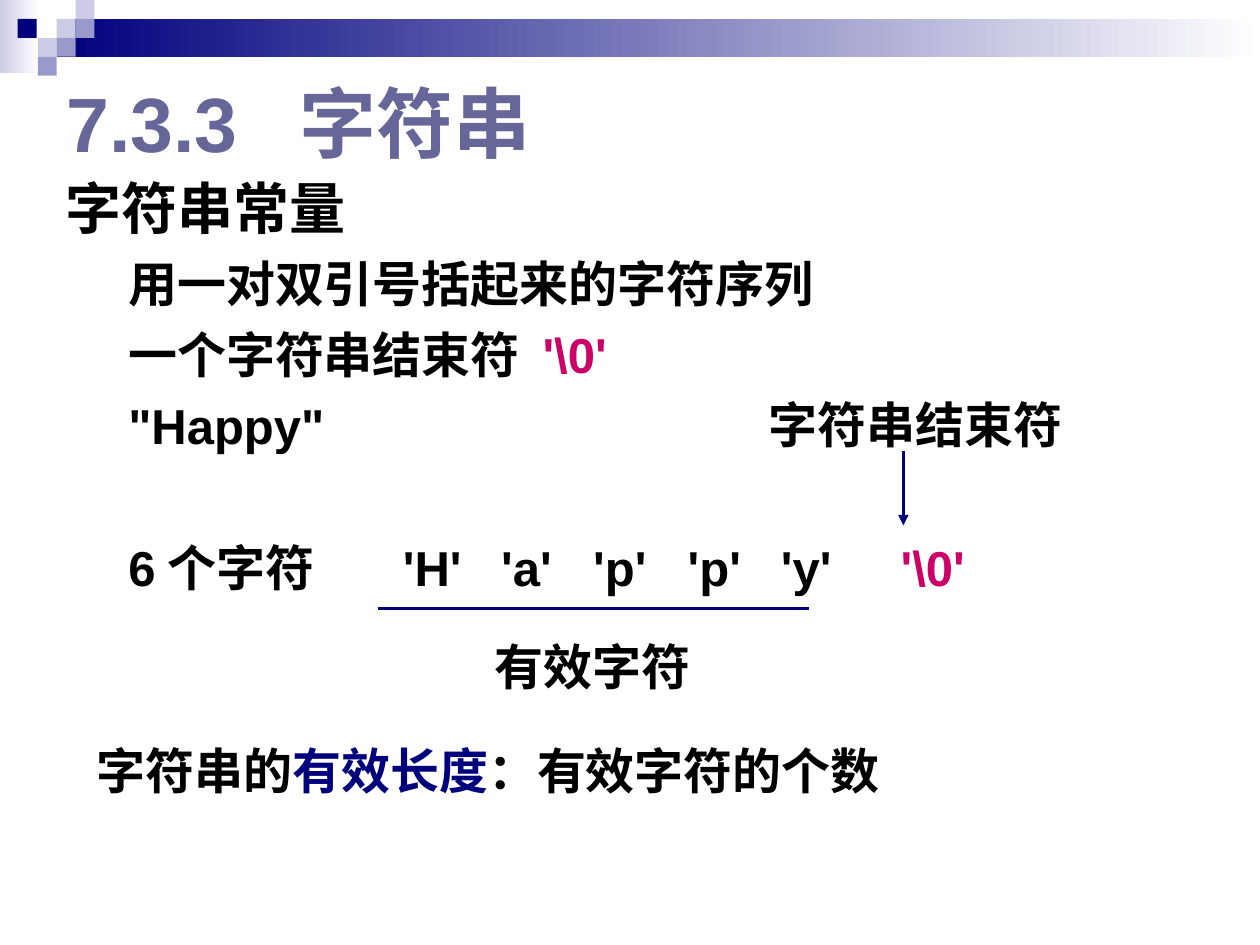
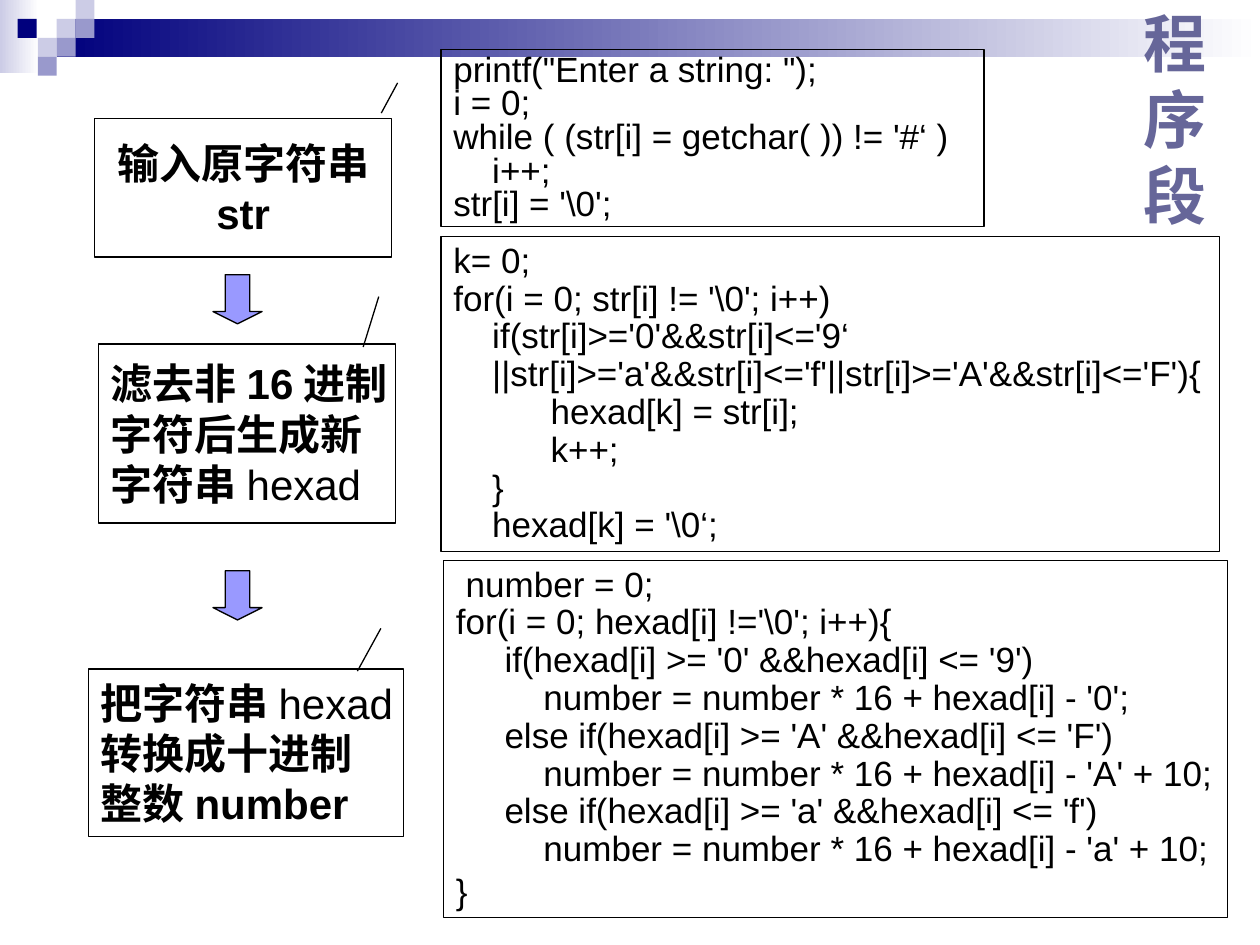
from lxml.etree import SubElement
from pptx import Presentation
from pptx.dml.color import RGBColor
from pptx.enum.shapes import MSO_CONNECTOR, MSO_SHAPE
from pptx.enum.text import MSO_ANCHOR, PP_ALIGN
from pptx.oxml.ns import qn
from pptx.util import Inches, Pt

NAVY = RGBColor(0x00, 0x00, 0x7D)
PALE = RGBColor(0xCC, 0xCC, 0xE6)
LILAC = RGBColor(0x99, 0x99, 0xCC)
ARROW = RGBColor(0x99, 0x99, 0xFF)
SLATE = RGBColor(0x66, 0x66, 0x99)
PINK = RGBColor(0xCC, 0x00, 0x66)
BLACK = RGBColor(0x00, 0x00, 0x00)
WHITE = RGBColor(0xFF, 0xFF, 0xFF)

# Shared band: fades (box, first colour), then small squares (left, top, colour)
FADES = [((0, 0, 0.31, 0.58), PALE), ((0.45, 0.15, 9.55, 0.3), NAVY)]
SIDE = 0.15
TILES = [
    (0.45, 0.15, PALE), (0.6, 0, PALE), (0.6, 0.15, LILAC), (0.3, 0.3, PALE),
    (0.14, 0.15, NAVY), (0.45, 0.3, LILAC), (0.3, 0.45, LILAC),
]

# Slide 1: a line is a string or a list of (text, format) runs
END = ("'\\0'", {"color": PINK})
HEAD = "字符串常量"
POINTS = [
    "用一对双引号括起来的字符序列",
    [("一个字符串结束符 ", {}), END],
    '"Happy"',
]
CHARS = [("6个字符\t'H'\t'a'\t'p'\t'p'\t'y'\t", {}), END]
STOPS = [2.18, 2.96, 3.69, 4.44, 5.18, 6.13]
LENGTH = [("字符串的", {}), ("有效长度", {"color": NAVY}), ("：有效字符的个数", {})]
NOTES = [
    ((0.92, 4.22, 7.6, 0.6), CHARS, STOPS),
    ((3.83, 5, 1.92, 0.67), "有效字符", ()),
    ((6, 3.08, 2.58, 0.5), "字符串结束符", ()),
    ((0.67, 5.83, 7, 0.83), LENGTH, ()),
]

# Slide 2: steps (box, alignment, lines) and code (box, callout ends, spacing, lines)
HEXAD = ("hexad", {"bold": False})
STEPS = [
    ((0.75, 0.94, 2.36, 1.1), PP_ALIGN.CENTER, ["输入原字符串", "str"]),
    ((0.78, 2.73, 2.36, 1.42), PP_ALIGN.LEFT,
     ["滤去非16进制", "字符后生成新", [("字符串", {}), HEXAD]]),
    ((0.7, 5.31, 2.5, 1.33), PP_ALIGN.LEFT,
     [[("把字符串", {}), HEXAD], "转换成十进制", "整数number"]),
]
DROPS = [2.18, 4.53]
CODE = [
    ((3.5, 0.39, 4.31, 1.41), (0.36, -0.11), 0.8, r"""printf("Enter a string: ");
i = 0;
while ( (str[i] = getchar( )) != '#‘ )
    i++;
str[i] = '\0';"""),
    ((3.5, 1.88, 6.18, 2.5), (0.35, -0.1), 0.9, r"""k= 0;
for(i = 0; str[i] != '\0'; i++)
    if(str[i]>='0'&&str[i]<='9‘
    ||str[i]>='a'&&str[i]<='f'||str[i]>='A'&&str[i]<='F'){
          hexad[k] = str[i];
          k++;
    }
    hexad[k] = '\0‘;"""),
    ((3.52, 4.45, 6.22, 2.83), (0.31, -0.11), 0.9, r""" number = 0;
for(i = 0; hexad[i] !='\0'; i++){
     if(hexad[i] >= '0' &&hexad[i] <= '9')
         number = number * 16 + hexad[i] - '0';
     else if(hexad[i] >= 'A' &&hexad[i] <= 'F')
         number = number * 16 + hexad[i] - 'A' + 10;
     else if(hexad[i] >= 'a' &&hexad[i] <= 'f')
         number = number * 16 + hexad[i] - 'a' + 10;
}"""),
]


def text(frame, lines, size=28, bold=True, color=BLACK, font="Arial",
         align=PP_ALIGN.LEFT, lead=None, before=0, left=0, tabs=()):
    """Add lines to a frame, filling its empty first paragraph."""
    for line in lines:
        para = frame.paragraphs[0]
        if para.runs:
            para = frame.add_paragraph()
            para.space_before = Pt(before)
        para.alignment = align
        if lead:
            para.line_spacing = lead
        props = para._p.get_or_add_pPr()
        if left:
            props.set("marL", str(Inches(left)))
        if tabs:
            stops = SubElement(props, qn("a:tabLst"))
            for pos in tabs:
                SubElement(stops, qn("a:tab"), pos=str(Inches(pos)), algn="l")
        for words, form in [(line, {})] if isinstance(line, str) else line:
            run = para.add_run()
            run.text = words
            run.font.name = font
            run.font.size = Pt(size)
            run.font.bold = form.get("bold", bold)
            run.font.color.rgb = form.get("color", color)


def shape(slide, kind, box, fill=None, line=None):
    item = slide.shapes.add_shape(kind, *map(Inches, box))
    item.shadow.inherit = False
    if fill is None:
        item.fill.background()
    else:
        item.fill.solid()
        item.fill.fore_color.rgb = fill
    if line is None:
        item.line.fill.background()
    else:
        item.line.color.rgb = line
        item.line.width = Pt(0.75)
    return item


def frame(slide, box, anchor=MSO_ANCHOR.TOP):
    area = slide.shapes.add_textbox(*map(Inches, box)).text_frame
    area.word_wrap = True
    area.vertical_anchor = anchor
    return area


def rule(slide, start, end, head=False):
    line = slide.shapes.add_connector(
        MSO_CONNECTOR.STRAIGHT, *map(Inches, start + end))
    line.line.color.rgb = NAVY
    line.line.width = Pt(2)
    if head:
        SubElement(line.line._get_or_add_ln(), qn("a:tailEnd"), type="triangle")
    SubElement(line._element.spPr, qn("a:effectLst"))


def start(deck, title, box, **form):
    """New slide with the shared band and title style."""
    slide = deck.slides.add_slide(deck.slide_layouts[6])
    for place, color in FADES:
        fill = shape(slide, MSO_SHAPE.RECTANGLE, place).fill
        fill.gradient()
        fill.gradient_angle = 0
        for stop, shade in zip(fill.gradient_stops, (color, WHITE)):
            stop.color.rgb = shade
    for left, top, color in TILES:
        shape(slide, MSO_SHAPE.RECTANGLE, (left, top, SIDE, SIDE), color)
    text(frame(slide, box, MSO_ANCHOR.MIDDLE), [title], color=SLATE, **form)
    return slide


def strings(deck):
    slide = start(deck, "7.3.3\t字符串", (0.43, 0.36, 4.03, 1.21), size=44, tabs=[1.85])
    body = frame(slide, (0.42, 1.33, 9.17, 2.4))
    text(body, [HEAD], size=32)
    text(body, POINTS, before=7, left=0.5)
    for box, line, tabs in NOTES:
        text(frame(slide, box), [line], tabs=tabs)
    rule(slide, (3, 4.83), (6.42, 4.83))
    rule(slide, (7.17, 3.58), (7.17, 4.17), head=True)


def program(deck):
    slide = start(deck, "程序段", (8.98, 0.16, 0.78, 1.56), size=36, font="Times New Roman")
    # Flow on the left
    for box, align, lines in STEPS:
        area = shape(slide, MSO_SHAPE.FLOWCHART_PROCESS, box, line=BLACK).text_frame
        area.word_wrap = False
        area.vertical_anchor = MSO_ANCHOR.MIDDLE
        text(area, lines, size=24, align=align)
    # Code callouts on the right
    for box, tip, lead, code in CODE:
        note = shape(slide, MSO_SHAPE.LINE_CALLOUT_1, box, line=BLACK)
        for spot, value in enumerate((0.19, -0.08) + tip):
            note.adjustments[spot] = value
        area = note.text_frame
        area.word_wrap = True
        area.vertical_anchor = MSO_ANCHOR.TOP
        text(area, code.split("\n"), size=20, bold=False, lead=lead)
    area.paragraphs[-1].line_spacing = 1.0
    for top in DROPS:
        drop = shape(slide, MSO_SHAPE.DOWN_ARROW, (1.69, top, 0.39, 0.39), ARROW, BLACK)
        drop.adjustments[1] = 0.25


def main():
    deck = Presentation()
    deck.slide_width, deck.slide_height = Inches(10), Inches(7.5)
    strings(deck)
    program(deck)
    deck.save("out.pptx")


if __name__ == "__main__":
    main()
